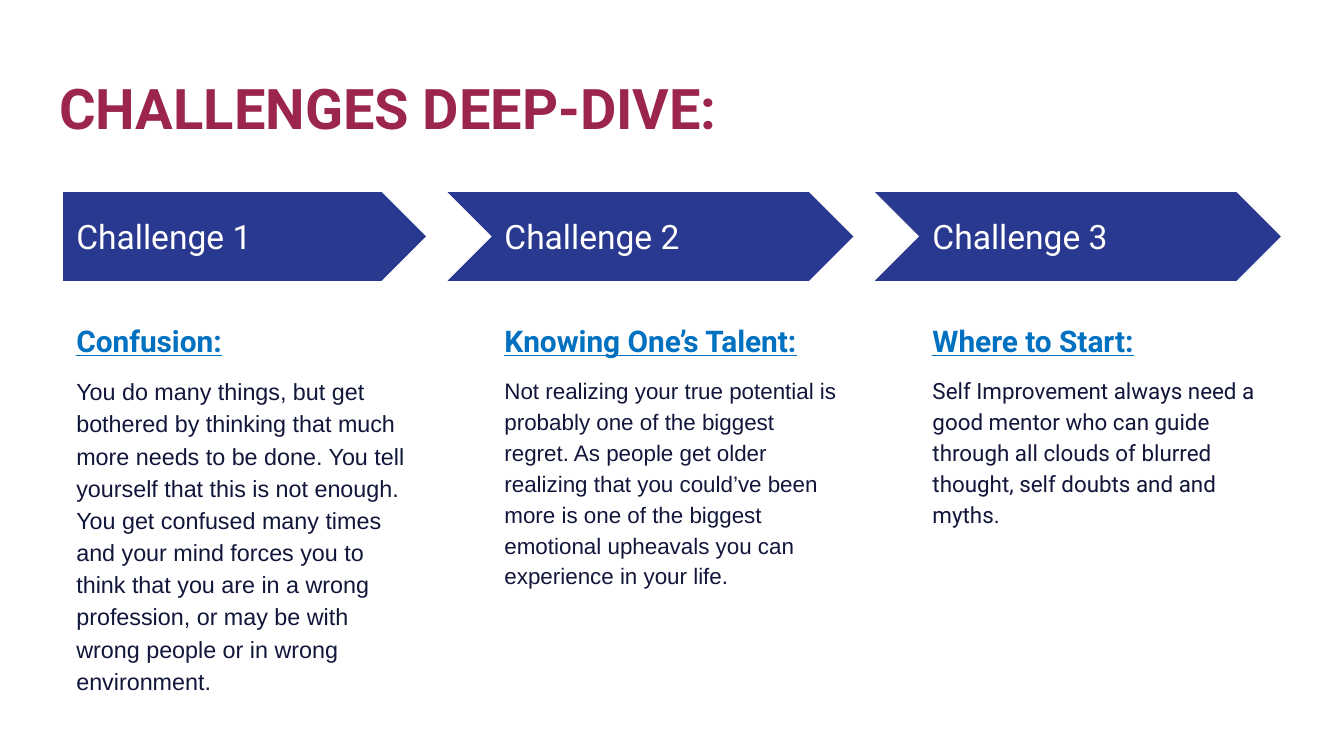
"""Build the challenges deep-dive slide with three arrow-headed columns."""
from dataclasses import dataclass

import pptx
import pptx.dml.color
import pptx.enum.shapes
import pptx.enum.text
import pptx.util

WINE = pptx.dml.color.RGBColor(0x9C, 0x25, 0x4D)
INDIGO = pptx.dml.color.RGBColor(0x2A, 0x39, 0x90)
BLUE = pptx.dml.color.RGBColor(0x00, 0x70, 0xC0)
NAVY = pptx.dml.color.RGBColor(0x11, 0x16, 0x3A)
WHITE = pptx.dml.color.RGBColor(0xFF, 0xFF, 0xFF)

SLIDE_W = 10
SLIDE_H = SLIDE_W * 9 / 16
FIRST_LEFT, LAST_LEFT, COLUMN_W = 0.47, 6.84, 2.7
ARROW_TOP, ARROW_H, ARROW_GAP, NOTCH = 1.43, 0.66, 0.16, 0.32
LABEL_W, LABEL_H = 2.47, 0.34
BODY_TOP, BODY_H = 2.26, 2.9


@dataclass(frozen=True)
class Challenge:
    heading: str
    body: str
    body_font: str
    body_size: float


CHALLENGES = [
    Challenge(
        "Confusion:",
        "You do many things, but get bothered by thinking that much more needs to be done. "
        "You tell yourself that this is not enough. You get confused many times and your mind "
        "forces you to think that you are in a wrong profession, or may be with wrong people "
        "or in wrong environment.",
        "Arial", 12.5),
    Challenge(
        "Knowing One’s Talent:",
        "Not realizing your true potential is probably one of the biggest regret. As people get "
        "older realizing that you could’ve been more is one of the biggest emotional upheavals "
        "you can experience in your life.",
        "Arial", 12),
    Challenge(
        "Where to Start:",
        "Self Improvement always need a good mentor who can guide through all clouds of blurred "
        "thought, self doubts and and myths.",
        "Roboto", 12),
]
COLUMN_PITCH = (LAST_LEFT - FIRST_LEFT) / (len(CHALLENGES) - 1)
ARROW_PITCH = COLUMN_W + NOTCH + ARROW_GAP


def set_frame(tf, anchor: pptx.enum.text.MSO_ANCHOR) -> None:
    tf.word_wrap = True
    tf.auto_size = pptx.enum.text.MSO_AUTO_SIZE.NONE
    tf.vertical_anchor = anchor
    tf.margin_left = tf.margin_right = tf.margin_top = tf.margin_bottom = pptx.util.Inches(0.1)


def write(p, text: str, size: float, color: pptx.dml.color.RGBColor, name: str = "Roboto",
          bold: bool = False, underline: bool = False) -> None:
    p.text = text
    p.alignment = pptx.enum.text.PP_ALIGN.LEFT
    p.font.size = pptx.util.Pt(size)
    p.font.name = name
    p.font.bold = bold
    p.font.underline = underline
    p.font.color.rgb = color


def add_text(slide, left: float, top: float, width: float, height: float,
             anchor: pptx.enum.text.MSO_ANCHOR):
    sp = slide.shapes.add_textbox(*map(pptx.util.Inches, (left, top, width, height)))
    set_frame(sp.text_frame, anchor)
    return sp.text_frame


def add_arrow(slide, column: int) -> None:
    shapes = pptx.enum.shapes.MSO_SHAPE
    kind, notch = (shapes.CHEVRON, NOTCH) if column else (shapes.PENTAGON, 0)
    left = FIRST_LEFT + column * ARROW_PITCH - notch
    sp = slide.shapes.add_shape(
        kind, *map(pptx.util.Inches, (left, ARROW_TOP, COLUMN_W + notch, ARROW_H)))
    sp.adjustments[0] = 0.5
    sp.shadow.inherit = False
    sp.fill.solid()
    sp.fill.fore_color.rgb = INDIGO
    sp.line.fill.background()


def add_challenge(slide, column: int, challenge: Challenge) -> None:
    add_arrow(slide, column)
    left = FIRST_LEFT + column * COLUMN_PITCH
    label_top = ARROW_TOP + (ARROW_H - LABEL_H) / 2
    tf = add_text(slide, left, label_top, LABEL_W, LABEL_H, pptx.enum.text.MSO_ANCHOR.MIDDLE)
    write(tf.paragraphs[0], f"Challenge {column + 1}", 18, WHITE)

    tf = add_text(slide, left, BODY_TOP, COLUMN_W, BODY_H, pptx.enum.text.MSO_ANCHOR.TOP)
    write(tf.paragraphs[0], challenge.heading, 16, BLUE, bold=True, underline=True)
    p = tf.add_paragraph()
    write(p, challenge.body, challenge.body_size, NAVY, challenge.body_font)
    p.space_before = p.space_after = pptx.util.Pt(8)
    for p in tf.paragraphs:
        p.line_spacing = 1.15


def main() -> None:
    prs = pptx.Presentation()
    prs.slide_width = pptx.util.Inches(SLIDE_W)
    prs.slide_height = pptx.util.Inches(SLIDE_H)
    slide = prs.slides.add_slide(prs.slide_layouts.get_by_name("Title Only"))

    title = slide.shapes.title
    title.left, title.top, title.width, title.height = map(
        pptx.util.Inches, (0.34, 0.45, 9.32, 0.66))
    set_frame(title.text_frame, pptx.enum.text.MSO_ANCHOR.TOP)
    write(title.text_frame.paragraphs[0], "CHALLENGES DEEP-DIVE:", 30, WINE, bold=True)

    for column, challenge in enumerate(CHALLENGES):
        add_challenge(slide, column, challenge)
    prs.save("out.pptx")


if __name__ == "__main__":
    main()
